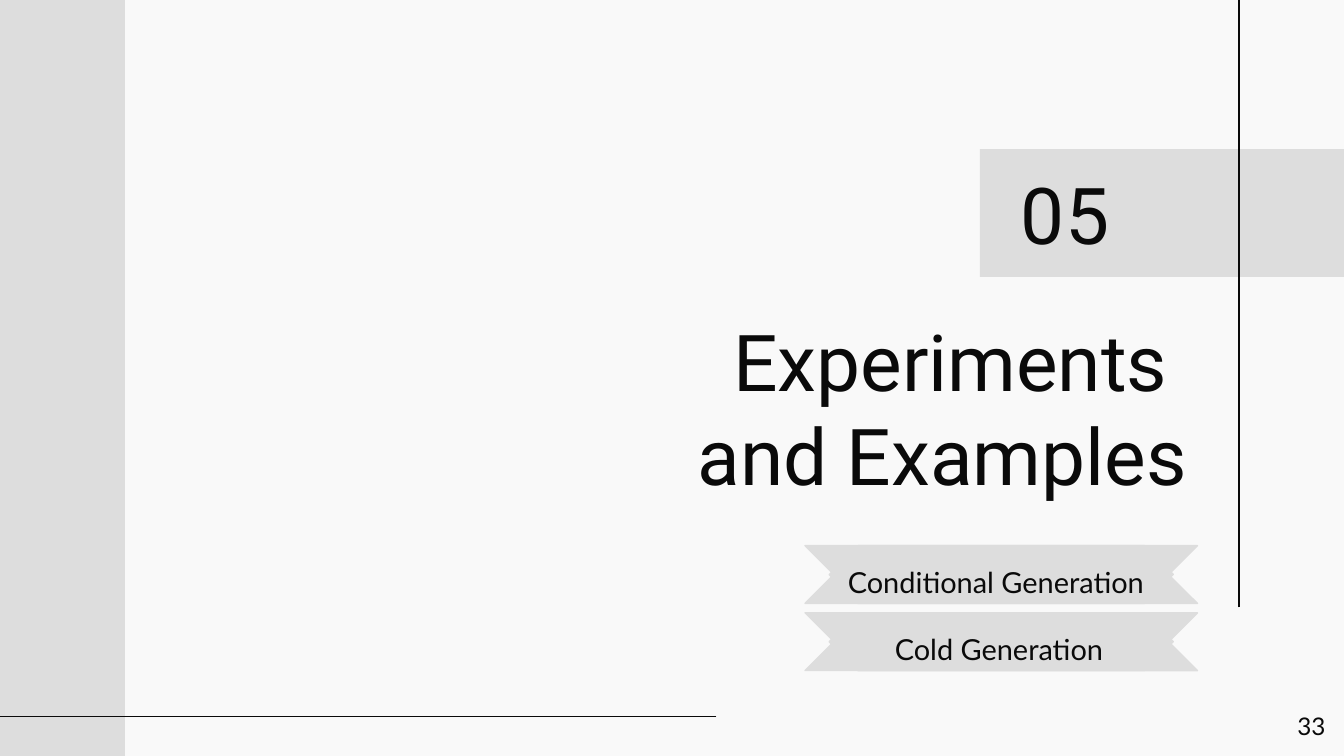
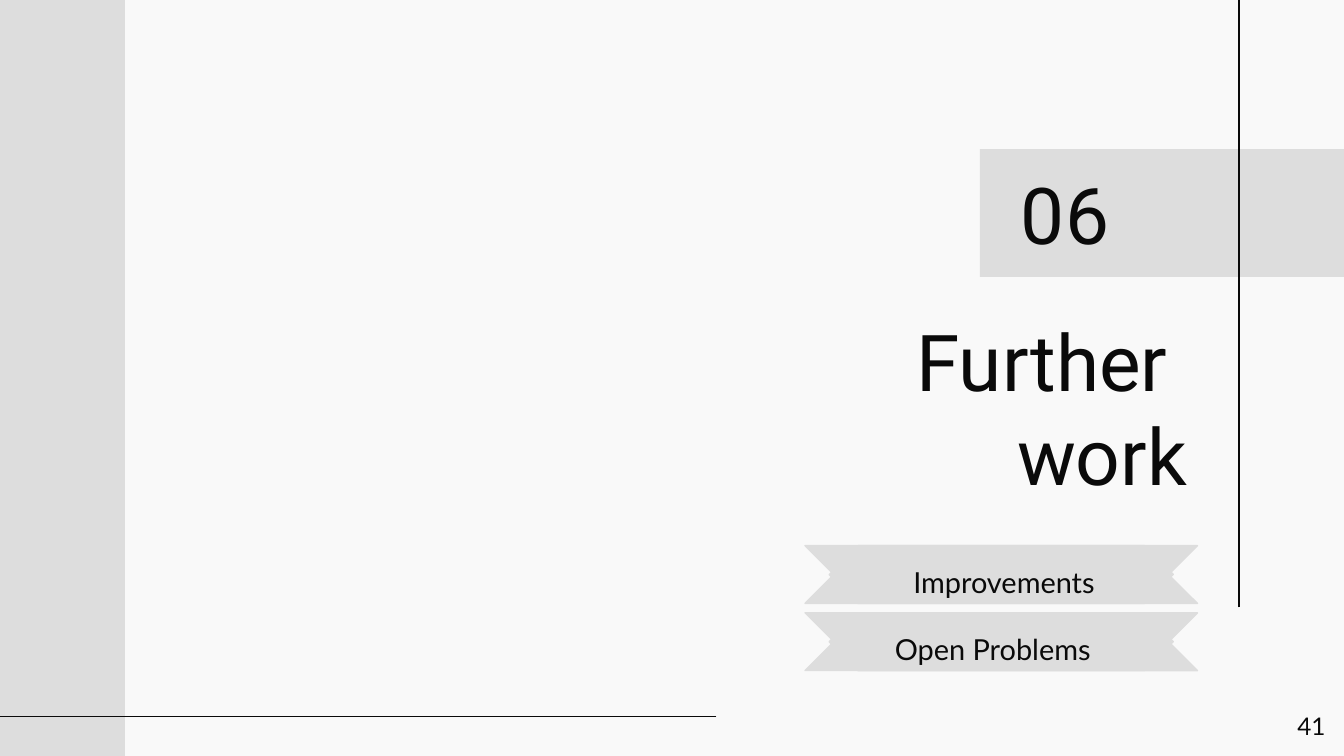
from pptx import Presentation
from pptx.dml.color import RGBColor
from pptx.enum.shapes import MSO_CONNECTOR, MSO_SHAPE
from pptx.enum.text import MSO_ANCHOR, PP_ALIGN
from pptx.oxml.ns import qn
from pptx.util import Inches, Pt
from lxml.etree import SubElement

COLORS = {"paper": "F9F9F9", "band": "DDDDDD", "ink": "0A0A0A"}
WIDTH = 10
HEIGHT = WIDTH * 9 / 16
TITLE_STYLE = {"font": "Roboto", "size": 42}
TOPIC_STYLE = {"font": "Lato", "size": 15.5, "spacing": 1.15}
PAGE_STYLE = {"font": "Lato", "size": 13}

TOPIC_BOX = (5.99, 4.06, 2.92, 0.43)
TOPIC_PITCH = 0.5
TOPIC_LABELS = [(0.22, 2.52), (0.57, 1.8)]

SECTIONS = [
    {
        "number": "05",
        "title": "Experiments \nand Examples",
        "topics": [
            ("Conditional Generation", PP_ALIGN.LEFT),
            ("Cold Generation", PP_ALIGN.LEFT),
        ],
        "page": "33",
    },
    {
        "number": "06",
        "title": "Further \nwork",
        "topics": [
            ("Improvements", PP_ALIGN.CENTER),
            ("Open Problems", PP_ALIGN.LEFT),
        ],
        "page": "41",
    },
]


def color(name):
    """Return a palette colour."""
    return RGBColor.from_string(COLORS[name])


def add_band(slide, preset, box, outlined=False):
    """Add a grey preset shape and return it."""
    band = slide.shapes.add_shape(preset, *map(Inches, box))
    band.shadow.inherit = False
    band.fill.solid()
    band.fill.fore_color.rgb = color("band")
    if outlined:
        band.line.color.rgb = color("band")
        band.line.width = Pt(0.75)
    else:
        band.line.fill.background()
    return band


def add_rule(slide, start, end):
    """Add a thin dark line between two points."""
    rule = slide.shapes.add_connector(
        MSO_CONNECTOR.STRAIGHT, *map(Inches, (*start, *end))
    )
    rule.line.color.rgb = color("ink")
    rule.line.width = Pt(0.75)
    SubElement(rule._element.spPr, qn("a:effectLst"))


def add_text(slide, box, text, font, size, align=PP_ALIGN.RIGHT,
             anchor=MSO_ANCHOR.TOP, spacing=None):
    """Add a text box with one style for all its paragraphs."""
    frame = slide.shapes.add_textbox(*map(Inches, box)).text_frame
    frame.word_wrap = True
    frame.vertical_anchor = anchor
    frame.margin_left = frame.margin_right = Inches(0.1)
    frame.margin_top = frame.margin_bottom = Inches(0.1)
    frame.text = text
    for paragraph in frame.paragraphs:
        paragraph.alignment = align
        paragraph.line_spacing = spacing
        for run in paragraph.runs:
            run.font.name = font
            run.font.size = Pt(size)
            run.font.color.rgb = color("ink")


def add_backdrop(slide, box):
    """Paint the background, the side band and the bottom rule."""
    left, top, _, height = box
    slide.background.fill.solid()
    slide.background.fill.fore_color.rgb = color("paper")
    add_band(slide, MSO_SHAPE.RECTANGLE, (left, top, 0.93, height))
    rule_y = top + 5.33
    add_rule(slide, (left + 5.33, rule_y), (left, rule_y))


def add_number(slide, box, number):
    """Add the section number on its band, crossed by the vertical rule."""
    left, top, _, height = box
    add_band(slide, MSO_SHAPE.RECTANGLE, box)
    rule_x = left + 1.93
    add_rule(slide, (rule_x, top + 3.41), (rule_x, 0))
    add_text(slide, (left - 0.12, top, 1.18, height), number,
             anchor=MSO_ANCHOR.MIDDLE, **TITLE_STYLE)


def add_topic(slide, box, label, topic, align):
    """Add a ribbon made of two opposed chevrons, with its topic."""
    left, top, width, height = box
    overhang = 0.18
    for offset, rotation in ((0, 0), (overhang, 180)):
        chevron = add_band(
            slide, MSO_SHAPE.CHEVRON,
            (left + offset, top, width - overhang, height), outlined=True,
        )
        chevron.rotation = rotation
    indent, label_width = label
    add_text(slide, (left + indent, top, label_width, height), topic,
             align=align, **TOPIC_STYLE)


def add_section(presentation, section):
    """Add one section opener."""
    slide = presentation.slides.add_slide(presentation.slide_layouts[6])
    add_backdrop(slide, (0, 0, WIDTH, HEIGHT))
    add_number(slide, (7.29, 1.11, 2.71, 0.95), section["number"])
    add_text(slide, (4.19, 2.23, 4.74, 1.62), section["title"], **TITLE_STYLE)
    left, top, width, height = TOPIC_BOX
    for row, (topic, align) in enumerate(section["topics"]):
        ribbon = (left, top + row * TOPIC_PITCH, width, height)
        add_topic(slide, ribbon, TOPIC_LABELS[row], topic, align)
    add_text(slide, (9.36, 5.19, 0.6, 0.43), section["page"], **PAGE_STYLE)


def main():
    """Build and save the presentation."""
    presentation = Presentation()
    presentation.slide_width = Inches(WIDTH)
    presentation.slide_height = Inches(HEIGHT)
    for section in SECTIONS:
        add_section(presentation, section)
    presentation.save("out.pptx")


if __name__ == "__main__":
    main()
